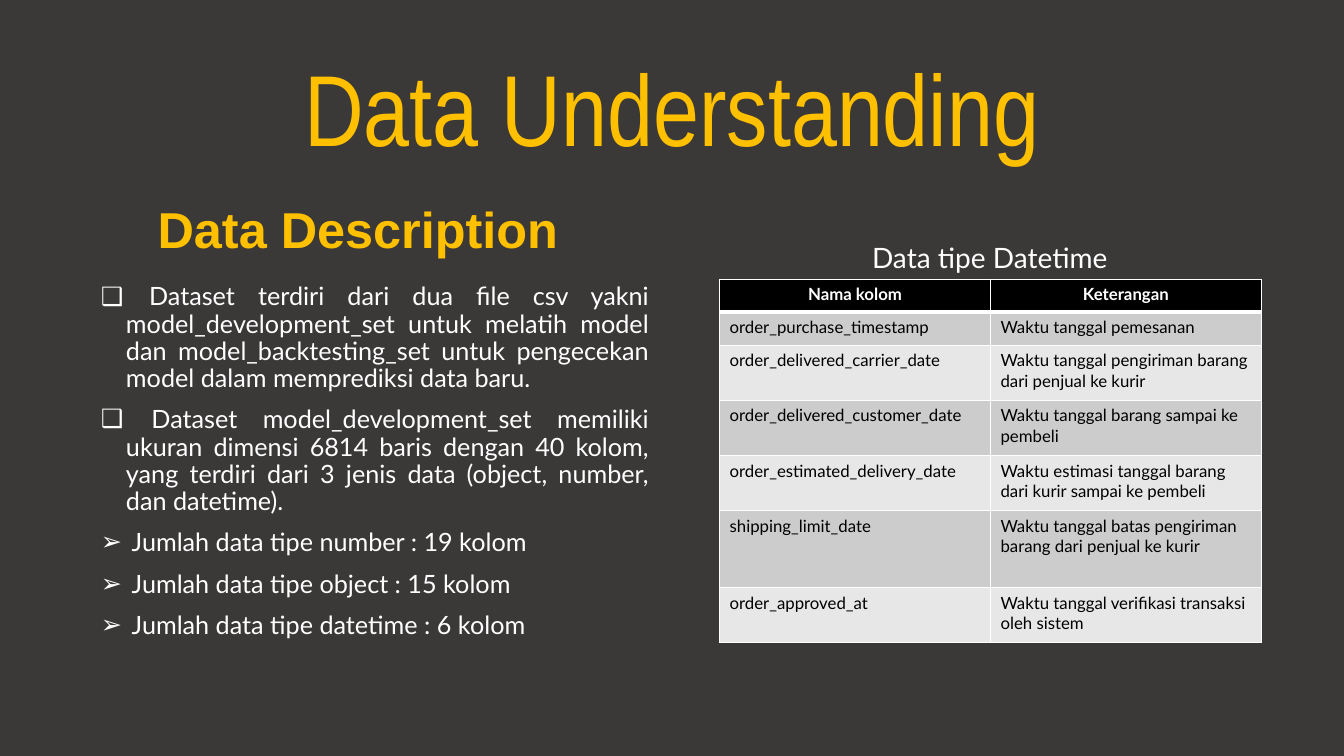
import pptx
import pptx.dml.color
import pptx.enum.text
import pptx.oxml
import pptx.oxml.ns
import pptx.util

Pt = pptx.util.Pt
ALIGN = pptx.enum.text.PP_ALIGN
ANCHOR = pptx.enum.text.MSO_ANCHOR
NS = pptx.oxml.ns.nsdecls("a")

GOLD, WHITE, BLACK = "FFC000", "FFFFFF", "000000"
BANDS = ["CCCCCC", "E7E7E7"]

NOTES = [
    ("❑", " Dataset terdiri dari dua file csv yakni model_development_set untuk "
          "melatih model dan model_backtesting_set untuk pengecekan model dalam "
          "memprediksi data baru."),
    ("❑", " Dataset model_development_set memiliki ukuran dimensi 6814 baris dengan "
          "40 kolom, yang terdiri dari 3 jenis data (object, number, dan datetime)."),
    ("➢", " Jumlah data tipe number : 19 kolom"),
    ("➢", " Jumlah data tipe object : 15 kolom"),
    ("➢", " Jumlah data tipe datetime : 6 kolom"),
]

ROWS = [
    ("Nama kolom", "Keterangan"),
    ("order_purchase_timestamp", "Waktu tanggal pemesanan"),
    ("order_delivered_carrier_date",
     "Waktu tanggal pengiriman barang dari penjual ke kurir"),
    ("order_delivered_customer_date", "Waktu tanggal barang sampai ke pembeli"),
    ("order_estimated_delivery_date",
     "Waktu estimasi tanggal barang dari kurir sampai ke pembeli"),
    ("shipping_limit_date",
     "Waktu tanggal batas pengiriman barang dari penjual ke kurir"),
    ("order_approved_at", "Waktu tanggal verifikasi transaksi oleh sistem"),
]
HEIGHTS = [23.6, 23.6, 39.4, 39.4, 39.4, 55, 39.4]


def color(code):
    return pptx.dml.color.RGBColor.from_string(code)


def write(para, text, size=18, font="Lato", ink=WHITE, bold=False,
          align=ALIGN.LEFT, line=1.0, before=0):
    para.alignment = align
    para.line_spacing = line
    para.space_before = Pt(before)
    para.space_after = Pt(0)
    run = para.add_run()
    run.text = text
    run.font.size = Pt(size)
    run.font.name = font
    run.font.bold = bold
    run.font.color.rgb = color(ink)


def mark(para, sign=None, indent=0):
    """Give a paragraph a hanging bullet, or none."""
    props = para._p.get_or_add_pPr()
    props.set("marL", str(Pt(indent)))
    props.set("indent", str(Pt(-indent)))
    tags = ['<a:buFont %s typeface="Arial"/>', f'<a:buChar %s char="{sign}"/>']
    for tag in tags if sign else ["<a:buNone %s/>"]:
        props.append(pptx.oxml.parse_xml(tag % NS))


def place(shape, left, top, width, height, anchor):
    """Move a text shape and return its frame."""
    shape.left, shape.top = Pt(left), Pt(top)
    shape.width, shape.height = Pt(width), Pt(height)
    frame = shape.text_frame
    frame.word_wrap = True
    frame.auto_size = pptx.enum.text.MSO_AUTO_SIZE.NONE
    frame.vertical_anchor = anchor
    return frame


def head(shape, box, text, anchor=ANCHOR.BOTTOM, **style):
    para = place(shape, *box, anchor).paragraphs[0]
    write(para, text, align=ALIGN.CENTER, **style)
    mark(para)


def notes(shape, box):
    frame = place(shape, *box, ANCHOR.TOP)
    for i, (sign, text) in enumerate(NOTES):
        para = frame.add_paragraph() if i else frame.paragraphs[0]
        write(para, text, align=ALIGN.JUSTIFY, line=0.9, before=10)
        mark(para, sign, 18)


def border(cell, row):
    """Draw white edges, thick between the header and the body."""
    props = cell._tc.get_or_add_tcPr()
    thick = {"T": row == 1, "B": row == 0}
    for side in "LRTB":
        width = Pt(3 if thick.get(side) else 1)
        props.append(pptx.oxml.parse_xml(
            f'<a:ln{side} {NS} w="{width}"><a:solidFill>'
            f'<a:srgbClr val="{WHITE}"/></a:solidFill></a:ln{side}>'))


def grid(slide, left, top, width):
    frame = slide.shapes.add_table(len(ROWS), 2, Pt(left), Pt(top),
                                   Pt(width), Pt(sum(HEIGHTS)))
    table = frame.table
    for r, (texts, height) in enumerate(zip(ROWS, HEIGHTS)):
        table.rows[r].height = Pt(height)
        top_row = r == 0
        for c, text in enumerate(texts):
            cell = table.cell(r, c)
            border(cell, r)
            cell.fill.solid()
            cell.fill.fore_color.rgb = color(BLACK if top_row else BANDS[(r - 1) % 2])
            write(cell.text_frame.paragraphs[0], text, size=12, bold=top_row,
                  ink=WHITE if top_row else BLACK,
                  align=ALIGN.CENTER if top_row else ALIGN.LEFT)


def main():
    deck = pptx.Presentation()
    deck.slide_width, deck.slide_height = Pt(960), Pt(540)
    slide = deck.slides.add_slide(deck.slide_layouts.get_by_name("Comparison"))
    slide.background.fill.solid()
    slide.background.fill.fore_color.rgb = color("3B3838")

    title, topic, body, *spare = slide.placeholders
    for shape in spare:
        shape.element.getparent().remove(shape.element)

    head(title, (66, 28.8, 828, 104.4), "Data Understanding", ANCHOR.MIDDLE,
         size=72, font="Arial Narrow", ink=GOLD, line=0.9)
    head(topic, (52.6, 144.7, 406, 43.2), "Data Description",
         size=36, font="Arial", ink=GOLD, bold=True, line=0.8, before=10)
    notes(body, (64.8, 199.4, 406, 244))
    grid(slide, 514, 199.4, 387)
    label = slide.shapes.add_textbox(0, 0, 0, 0)
    head(label, (504, 156.2, 406, 43.2), "Data tipe Datetime",
         size=20, line=0.9, before=10)
    deck.save("out.pptx")


if __name__ == "__main__":
    main()
